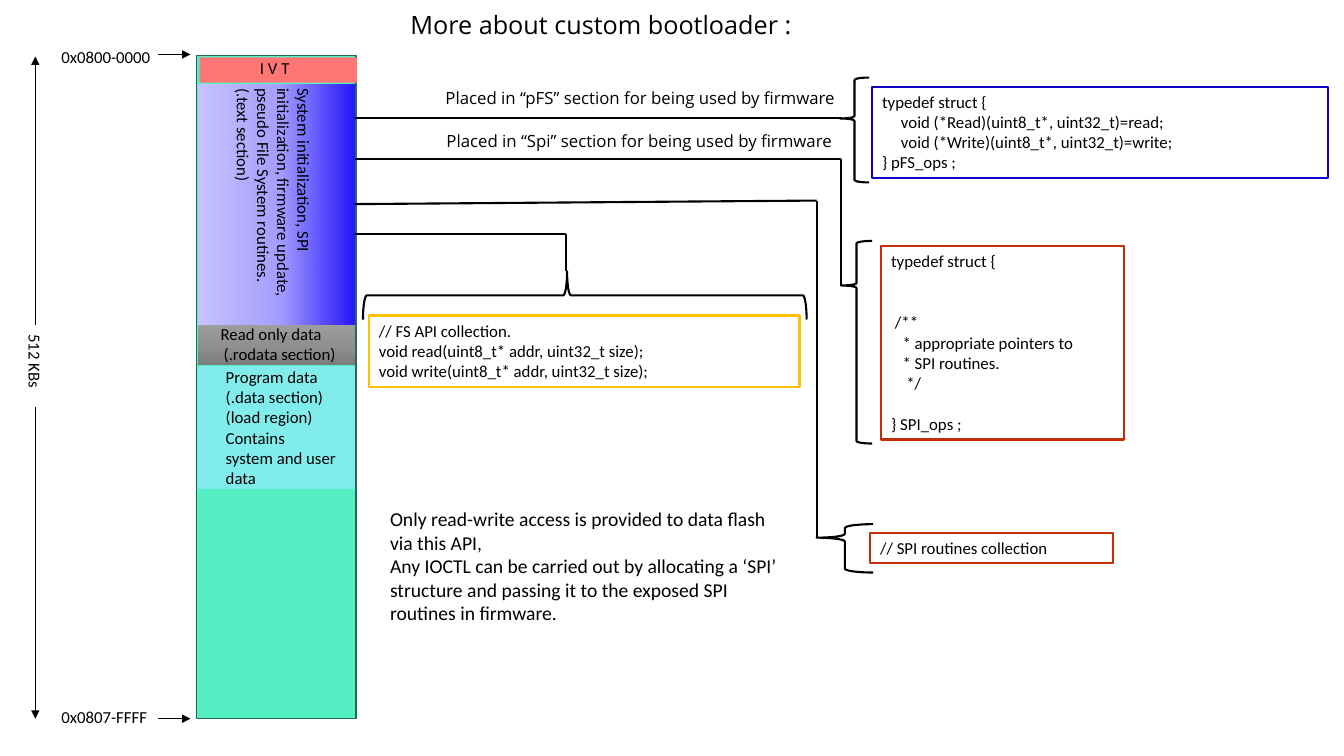
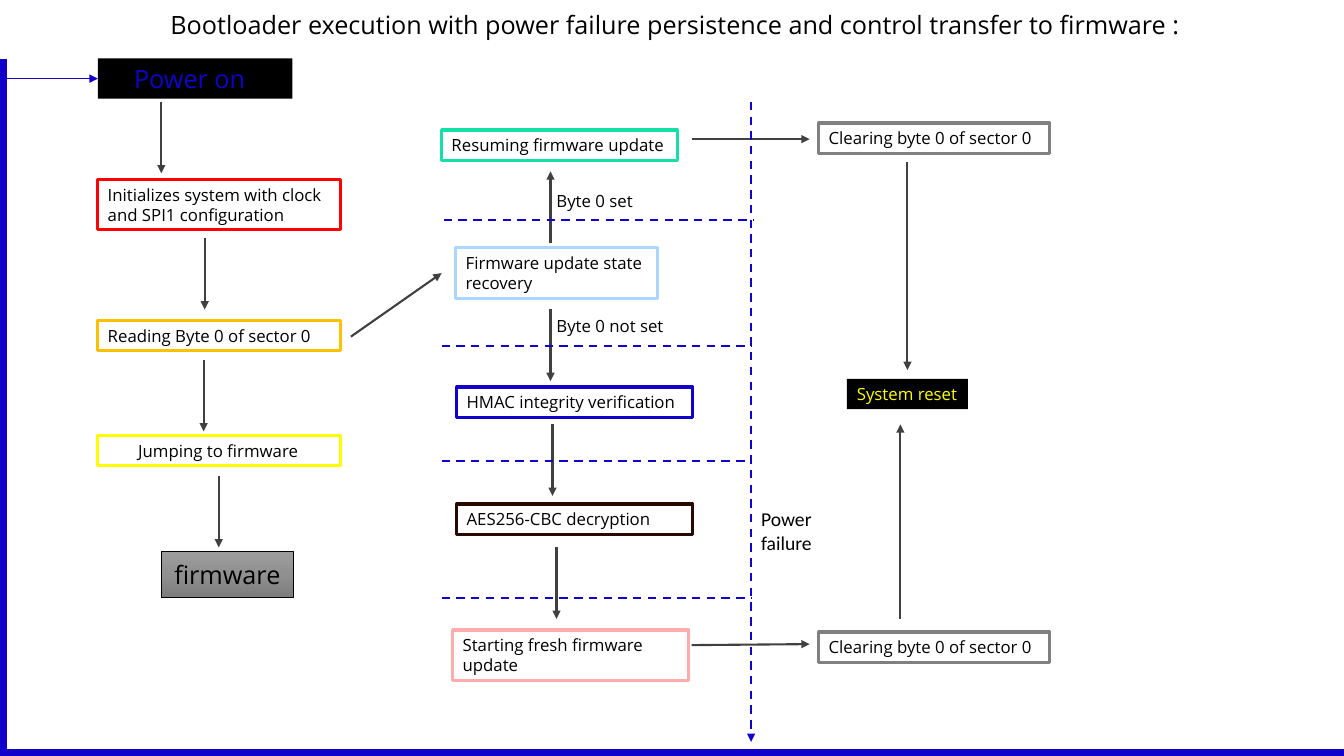
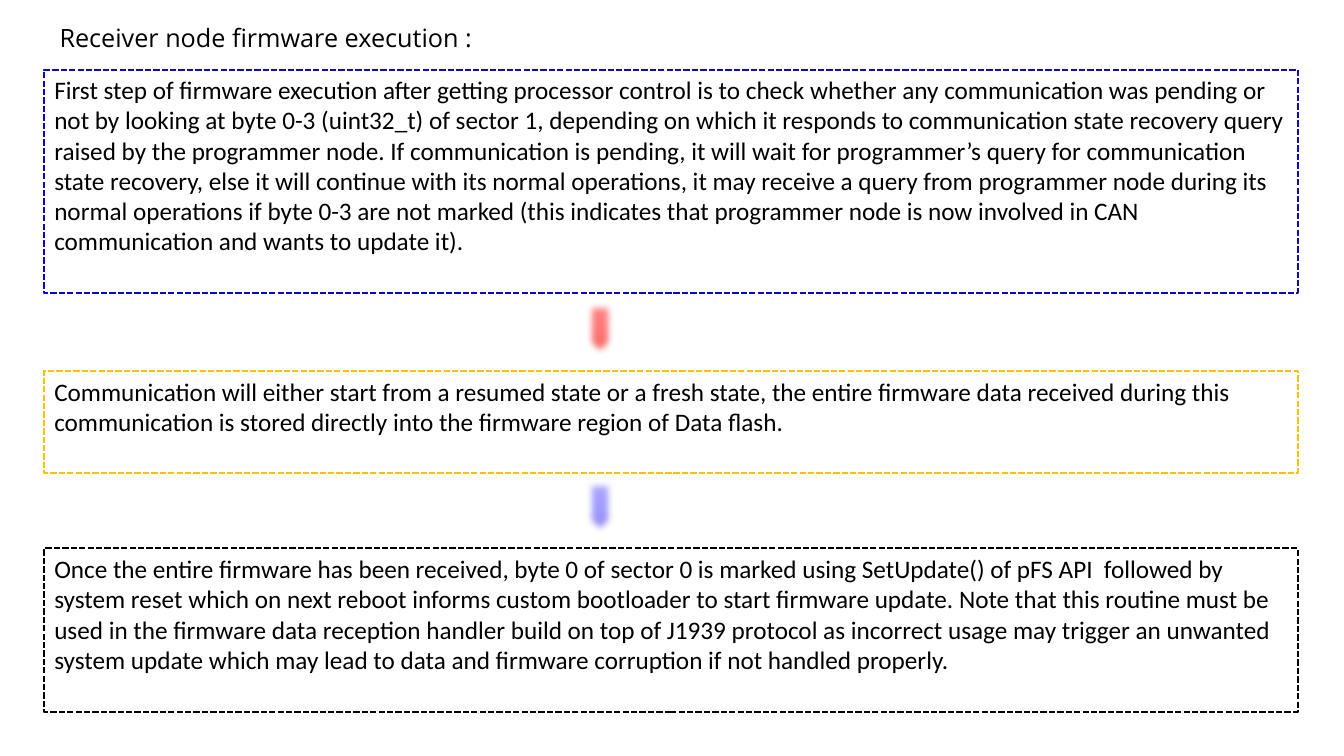
from dataclasses import dataclass
from itertools import pairwise
from typing import Optional

from lxml.etree import SubElement
from pptx import Presentation
from pptx.dml.color import RGBColor
from pptx.enum.dml import MSO_LINE as Dash
from pptx.enum.shapes import MSO_CONNECTOR as Connector, MSO_SHAPE as Preset
from pptx.enum.text import MSO_ANCHOR as Anchor, MSO_AUTO_SIZE as AutoSize, PP_ALIGN as Align
from pptx.oxml.ns import qn
from pptx.util import Inches, Pt

# Shared colours and fonts
BLACK = RGBColor(0x00, 0x00, 0x00)
BLUE = RGBColor(0x10, 0x02, 0xCA)
AMBER = RGBColor(0xFF, 0xC0, 0x00)
YELLOW = RGBColor(0xFF, 0xFF, 0x00)
RED = RGBColor(0xFF, 0x00, 0x00)
RUST = RGBColor(0xC3, 0x2D, 0x0A)
CORAL = RGBColor(0xFF, 0x76, 0x75)
PINK = RGBColor(0xFF, 0xAD, 0xAC)
LILAC = RGBColor(0xA2, 0x9B, 0xFE)
MINT = RGBColor(0x55, 0xEF, 0xC4)
DARK_GREEN = RGBColor(0x25, 0x69, 0x56)
GREEN = RGBColor(0x15, 0xDE, 0xA6)
AQUA = RGBColor(0x81, 0xEC, 0xEC)
SKY = RGBColor(0xAC, 0xD5, 0xFF)
BROWN = RGBColor(0x27, 0x09, 0x02)
GRAY = RGBColor(0x80, 0x80, 0x80)
CHARCOAL = RGBColor(0x40, 0x40, 0x40)
BODY_FONT = "Calibri"
HEADING_FONT = "Open Sans"


@dataclass(frozen=True)
class Gradient:
    stops: tuple[tuple[int, str], ...]
    angle: int = 270  # counter-clockwise degrees: 270 runs downwards


GRAY_FADE = Gradient(((0, "9D9D9D"), (50, "909090"), (100, "7C7C7C")))
BLUE_FADE = Gradient(((0, "2615FD"), (48, "A59EFE"), (100, "C7C3FE")), 180)
CORAL_FADE = Gradient(((0, "FF8A89"), (50, "FF7675"), (100, "E56766")))
LILAC_FADE = Gradient(((0, "B0AAFF"), (50, "A19AFF"), (100, "8D87E5")))


@dataclass(frozen=True)
class Box:
    """A rectangle, or a plain text box when it has neither fill nor line."""
    left: float
    top: float
    width: float
    height: float
    lines: tuple[str, ...] = ()
    size: int = 12
    font: str = BODY_FONT
    color: RGBColor = BLACK
    fill: Optional[RGBColor | Gradient] = None
    line: Optional[RGBColor] = None
    weight: float = 1.5
    dash: Optional[Dash] = None
    preset: Preset = Preset.RECTANGLE
    rotation: int = 0
    inset: float = 0.1
    centered: bool = False


@dataclass(frozen=True)
class Route:
    """Straight segments through the given points."""
    points: tuple[tuple[float, float], ...]
    color: RGBColor = BLACK
    weight: float = 1.5
    arrow: bool = False
    dash: Optional[Dash] = None


@dataclass(frozen=True)
class Brace:
    left: float
    top: float
    width: float
    height: float
    tip: float
    rotation: int = 0


def write_text(shape, lines: tuple[str, ...], size: int, font: str, color: RGBColor) -> None:
    frame = shape.text_frame
    frame.word_wrap = True
    frame.auto_size = AutoSize.NONE
    frame.vertical_anchor = Anchor.TOP
    frame.text = "\n".join(lines)
    for paragraph in frame.paragraphs:
        paragraph.alignment = Align.LEFT
        paragraph.font.size = Pt(size)
        paragraph.font.name = font
        paragraph.font.color.rgb = color


def add_titled_slide(presentation, title: str, left: float, top: float, width: float):
    slide = presentation.slides.add_slide(presentation.slide_layouts[5])
    shape = slide.shapes.title
    shape.left, shape.top = Inches(left), Inches(top)
    shape.width, shape.height = Inches(width), Inches(0.4)
    write_text(shape, (title,), 18, HEADING_FONT, BLACK)
    return slide


def apply_fill(shape, fill: Optional[RGBColor | Gradient]) -> None:
    if fill is None:
        shape.fill.background()
    elif isinstance(fill, Gradient):
        shape.fill.gradient()
        shape.fill.gradient_angle = fill.angle
        stop_list = shape._element.spPr.find(qn("a:gradFill")).find(qn("a:gsLst"))
        stop_list.clear()
        for position, color in fill.stops:
            stop = SubElement(stop_list, qn("a:gs"), pos=str(position * 1000))
            SubElement(stop, qn("a:srgbClr"), val=color)
    else:
        shape.fill.solid()
        shape.fill.fore_color.rgb = fill


def draw_box(slide, box: Box):
    bounds = [Inches(value) for value in (box.left, box.top, box.width, box.height)]
    if box.fill is None and box.line is None:
        shape = slide.shapes.add_textbox(*bounds)
    else:
        shape = slide.shapes.add_shape(box.preset, *bounds)
        shape.shadow.inherit = False
        apply_fill(shape, box.fill)
        if box.line is None:
            shape.line.fill.background()
        else:
            shape.line.color.rgb = box.line
            shape.line.width = Pt(box.weight)
            if box.dash is not None:
                shape.line.dash_style = box.dash
    shape.rotation = box.rotation
    if box.lines:
        write_text(shape, box.lines, box.size, box.font, box.color)
        shape.text_frame.margin_left = Inches(box.inset)
        if box.centered:
            shape.text_frame.vertical_anchor = Anchor.MIDDLE
            shape.text_frame.paragraphs[0].alignment = Align.CENTER
    return shape


def draw_route(slide, route: Route) -> list:
    connectors = []
    for (start_x, start_y), (end_x, end_y) in pairwise(route.points):
        connector = slide.shapes.add_connector(
            Connector.STRAIGHT, Inches(start_x), Inches(start_y), Inches(end_x), Inches(end_y))
        connector.line.color.rgb = route.color
        connector.line.width = Pt(route.weight)
        if route.dash is not None:
            connector.line.dash_style = route.dash
        if route.arrow:
            SubElement(connector.line._get_or_add_ln(), qn("a:tailEnd"), type="triangle")
        SubElement(connector._element.spPr, qn("a:effectLst"))
        connectors.append(connector)
    return connectors


def draw_brace(slide, brace: Brace) -> None:
    shape = slide.shapes.add_shape(
        Preset.LEFT_BRACE, Inches(brace.left), Inches(brace.top),
        Inches(brace.width), Inches(brace.height))
    shape.shadow.inherit = False
    shape.fill.background()
    shape.line.color.rgb = BLACK
    shape.line.width = Pt(1.5)
    shape.adjustments[0] = 0.08
    shape.adjustments[1] = brace.tip
    shape.rotation = brace.rotation


def build_memory_map(presentation) -> None:
    slide = add_titled_slide(presentation, "More about custom bootloader :", 3.97, 0.04, 4.1)

    # Flash memory bar and its regions
    region_left, region_width = 1.96, 1.56
    draw_box(slide, Box(1.95, 0.55, 1.58, 6.58, fill=MINT, line=DARK_GREEN, weight=1))
    draw_box(slide, Box(region_left + 0.02, 0.57, region_width, 0.25, fill=CORAL))
    code_region = draw_box(slide, Box(region_left, 0.83, region_width, 2.39, fill=BLUE_FADE))
    draw_box(slide, Box(region_left, 3.22, region_width, 0.4, fill=GRAY_FADE))
    draw_box(slide, Box(region_left, 3.63, region_width, 1.22, fill=AQUA))

    # Region names, addresses and explanations
    labels = (
        Box(2.48, 0.52, 0.71, 0.3, ("I V T",)),
        Box(1.45, 1.58, 2.52, 0.91, (
            "System initialization, SPI initialization, firmware update, "
            "pseudo File System routines.", "(.text section)"), rotation=90),
        Box(2.09, 3.16, 1.51, 0.3, ("Read only data",)),
        Box(2.12, 3.36, 1.48, 0.3, ("(.rodata section)",)),
        Box(2.14, 3.59, 1.29, 1.35, (
            "Program data", "(.data section)", "(load region)",
            "Contains system and user data")),
        Box(0.51, 0.41, 1.5, 0.3, ("0x0800-0000",)),
        Box(0.51, 6.96, 1.5, 0.3, ("0x0807-FFFF",)),
        Box(-0.23, 3.65, 1.16, 0.3, ("512 KBs",), rotation=90),
        Box(4.32, 0.82, 4.08, 0.3, ("Placed in “pFS” section for being used by firmware",),
            font=HEADING_FONT),
        Box(4.33, 1.25, 4.08, 0.3, ("Placed in “Spi” section for being used by firmware",),
            font=HEADING_FONT),
        Box(3.77, 4.98, 4.14, 1.28, (
            "Only read-write access is provided to data flash via this API,",
            "Any IOCTL can be carried out by allocating a ‘SPI’ structure and passing it "
            "to the exposed SPI routines in firmware."), size=14),
    )
    for label in labels:
        draw_box(slide, label)

    # Address and size arrows
    for points in (((1.57, 0.54), (1.89, 0.54)), ((1.57, 7.13), (1.89, 7.13)),
                   ((0.35, 4.04), (0.35, 7.13)), ((0.35, 3.22), (0.35, 0.56))):
        draw_route(slide, Route(points, weight=0.5, arrow=True))

    # Lines from the code region to the braces
    bar_right = region_left + region_width
    draw_route(slide, Route(((bar_right, 1.17), (8.35, 1.17))))
    draw_route(slide, Route(((bar_right, 1.58), (8.34, 1.58), (8.34, 2.84))))
    routines_line = draw_route(slide, Route(((bar_right, 2.02), (8.1, 1.99), (8.1, 5.33))))[0]
    routines_line.begin_connect(code_region, 3)
    draw_route(slide, Route(((bar_right, 2.32), (5.61, 2.32), (5.61, 2.69))))
    for brace in (Brace(8.33, 0.77, 0.29, 1.04, 0.39), Brace(8.34, 2.39, 0.31, 2.01, 0.22),
                  Brace(8.1, 5.2, 0.56, 0.48, 0.28), Brace(5.56, 0.73, 0.48, 4.4, 0.54, 90)):
        draw_brace(slide, brace)

    # Code boxes
    draw_box(slide, Box(8.65, 0.86, 4.52, 0.91, (
        "typedef struct {",
        "     void (*Read)(uint8_t*, uint32_t)=read;",
        "     void (*Write)(uint8_t*, uint32_t)=write;",
        "} pFS_ops ;"), line=BLUE))
    draw_box(slide, Box(3.66, 3.13, 4.27, 0.71, (
        "// FS API collection.",
        "void read(uint8_t* addr, uint32_t size);",
        "void write(uint8_t* addr, uint32_t size);"), line=AMBER))
    draw_box(slide, Box(8.63, 5.29, 2.41, 0.3, ("// SPI routines collection",), line=RUST))
    spi_struct = draw_box(slide, Box(8.74, 2.44, 2.41, 1.92, (
        "typedef struct {",
        " /**",
        "   * appropriate pointers to",
        "   * SPI routines.",
        "    */",
        "} SPI_ops ;"), line=RUST))
    paragraphs = spi_struct.text_frame.paragraphs
    paragraphs[1].space_before = Pt(29.3)
    paragraphs[-1].space_before = Pt(14.65)


def build_execution_flow(presentation) -> None:
    slide = add_titled_slide(
        presentation,
        "Bootloader execution with power failure persistence and control transfer to firmware :",
        1.59, 0.04, 11.05)

    # Frame along the left and bottom edges, leading into power on
    draw_route(slide, Route(((0.03, 0.59), (0.03, 7.5)), BLUE, 6))
    draw_route(slide, Route(((13.33, 7.47), (0.02, 7.47)), BLUE, 6))
    power_on = draw_box(slide, Box(0.97, 0.58, 1.93, 0.4, ("Power on",), 18, HEADING_FONT,
                                   BLUE, fill=BLACK, inset=0.36))
    power_line = draw_route(slide, Route(((0.02, 0.78), (0.97, 0.78)), BLUE, 0.5, True))[0]
    power_line.end_connect(power_on, 1)

    # Steps
    start_left, start_width, update_width, clear_width = 0.97, 2.41, 2.34, 2.29
    steps = (
        (start_left, 1.78, start_width, 0.5,
         "Initializes system with clock and SPI1 configuration", RED),
        (start_left, 3.18, start_width, 0.3, "Reading Byte 0 of sector 0", AMBER),
        (4.38, 1.29, update_width, 0.3, "Resuming firmware update", GREEN),
        (4.52, 2.46, 2, 0.5, "Firmware update state recovery", SKY),
        (4.53, 3.84, update_width, 0.3, "HMAC integrity verification", BLUE),
        (4.53, 5, update_width, 0.3, "AES256-CBC decryption", BROWN),
        (4.49, 6.25, update_width, 0.5, "Starting fresh firmware update", PINK),
        (8.12, 1.22, clear_width, 0.3, "Clearing byte 0 of sector 0", GRAY),
        (8.12, 6.27, clear_width, 0.3, "Clearing byte 0 of sector 0", GRAY),
    )
    for left, top, width, height, text, color in steps:
        draw_box(slide, Box(left, top, width, height, (text,), font=HEADING_FONT,
                            line=color, weight=2.25))
    draw_box(slide, Box(start_left, 4.32, start_width, 0.3, ("Jumping to firmware",),
                        font=HEADING_FONT, line=YELLOW, weight=2.25, inset=0.4))
    draw_box(slide, Box(1.6, 5.47, 1.31, 0.46, ("firmware",), 18, HEADING_FONT,
                        fill=GRAY_FADE, line=BLACK, weight=0.5, centered=True))
    draw_box(slide, Box(8.4, 3.76, 1.2, 0.3, ("System reset",), font=HEADING_FONT,
                        color=YELLOW, fill=BLACK))

    # Short arrows down between steps, then the other arrows
    step_arrows = [((x, y), (x, y + 0.71)) for x, y in (
        (1.6, 1.01), (2.03, 2.36), (2.02, 3.57), (2.17, 4.72),
        (5.46, 3.07), (5.48, 4.21), (5.52, 5.43))]
    other_arrows = [
        ((5.46, 2.41), (5.46, 1.7)), ((3.48, 3.34), (4.38, 2.71)),
        ((6.86, 1.38), (8.03, 1.38)), ((6.86, 6.4), (8.03, 6.39)),
        ((9, 1.61), (9, 3.67)), ((8.93, 6.14), (8.93, 4.21))]
    for points in step_arrows + other_arrows:
        draw_route(slide, Route(points, CHARCOAL, arrow=True))

    # Points where power may fail
    for left, y in ((4.4, 2.18), (4.38, 3.43), (4.38, 4.57), (4.38, 5.93)):
        draw_route(slide, Route(((left, y), (left + 3.07, y)), BLUE, dash=Dash.DASH))
    draw_route(slide, Route(((7.45, 1.01), (7.45, 7.36)), BLUE, arrow=True, dash=Dash.DASH))
    draw_box(slide, Box(7.45, 4.98, 1.11, 0.57, ("Power failure",), size=14))
    for top, text in ((1.84, "Byte 0 set"), (3.08, "Byte 0 not set")):
        draw_box(slide, Box(5.42, top, 1.55, 0.3, (text,), font=HEADING_FONT))


def build_receiver_execution(presentation) -> None:
    slide = add_titled_slide(presentation, "Receiver node firmware execution :", 0.49, 0.17, 6.26)

    # Stages
    stages = (
        (0.69, 2.22, BLUE,
         "First step of firmware execution after getting processor control is to check whether "
         "any communication was pending or not by looking at byte 0-3 (uint32_t) of sector 1, "
         "depending on which it responds to communication state recovery query raised by the "
         "programmer node. If communication is pending, it will wait for programmer’s query for "
         "communication state recovery, else it will continue with its normal operations, it may "
         "receive a query from programmer node during its normal operations if byte 0-3 are not "
         "marked (this indicates that programmer node is now involved in CAN communication and "
         "wants to update it)."),
        (3.68, 1.01, AMBER,
         "Communication will either start from a resumed state or a fresh state, the entire "
         "firmware data received during this communication is stored directly into the firmware "
         "region of Data flash."),
        (5.44, 1.62, BLACK,
         "Once the entire firmware has been received, byte 0 of sector 0 is marked using "
         "SetUpdate() of pFS API  followed by system reset which on next reboot informs custom "
         "bootloader to start firmware update. Note that this routine must be used in the "
         "firmware data reception handler build on top of J1939 protocol as incorrect usage may "
         "trigger an unwanted system update which may lead to data and firmware corruption if "
         "not handled properly."),
    )
    for top, height, color, text in stages:
        draw_box(slide, Box(0.44, top, 12.43, height, (text,), 18, line=color,
                            dash=Dash.SQUARE_DOT))

    # Soft-edged arrows between stages
    for top, fill, line in ((2.99, CORAL_FADE, CORAL), (4.76, LILAC_FADE, LILAC)):
        arrow = draw_box(slide, Box(5.66, top, 0.58, 0.61, fill=fill, line=line, weight=0.5,
                                    preset=Preset.DOWN_ARROW))
        effects = arrow._element.spPr.find(qn("a:effectLst"))
        SubElement(effects, qn("a:softEdge"), rad=str(Pt(5)))


def main() -> None:
    presentation = Presentation()
    presentation.slide_width = Inches(13.33)
    presentation.slide_height = Inches(7.5)
    build_memory_map(presentation)
    build_execution_flow(presentation)
    build_receiver_execution(presentation)
    presentation.save("out.pptx")


if __name__ == "__main__":
    main()
